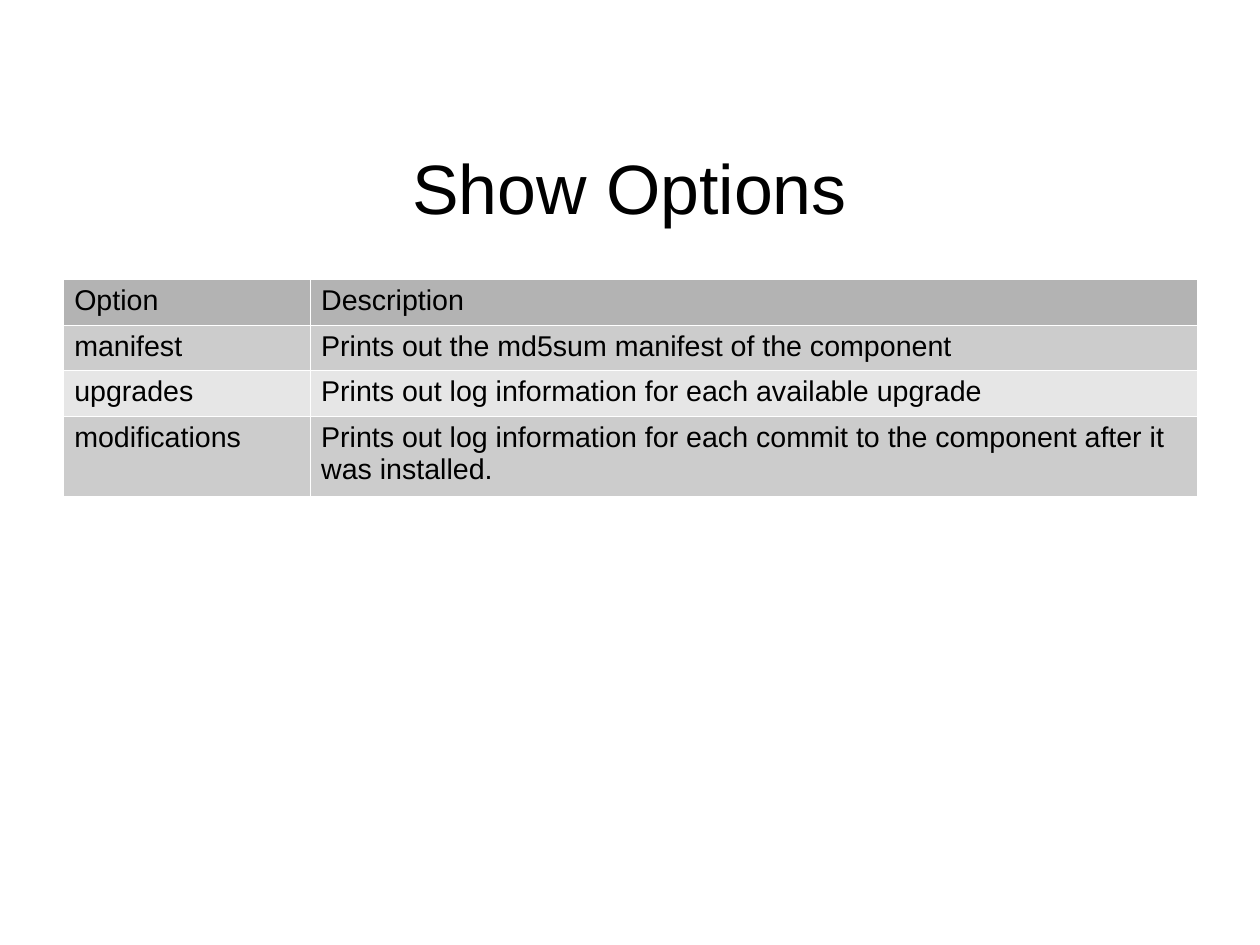
import pptx
import pptx.dml.color
import pptx.enum.text
import pptx.oxml
import pptx.oxml.ns
import pptx.util
from pptx.util import Inches

COLORS = {
    "text": "000000",
    "header": "B3B3B3",
    "odd": "CCCCCC",
    "even": "E6E6E6",
    "border": "FFFFFF",
}
FONT = "Arial"
CM_PER_INCH = 2.54
OPTIONS = [
    ("Option", "Description"),
    ("manifest", "Prints out the md5sum manifest of the component"),
    ("upgrades", "Prints out log information for each available upgrade"),
    ("modifications", "Prints out log information for each commit to the "
                      "component after it was installed."),
]
COLUMN_WIDTHS = [2.16, 7.76]
ROW_HEIGHTS = [0.4, 0.4, 0.4, 0.7]


def color(name):
    """Return the named colour."""
    return pptx.dml.color.RGBColor.from_string(COLORS[name])


def set_slide_size(presentation):
    """Make the slide 28 by 21 cm, with no preset paper type."""
    presentation.slide_width = Inches(28 / CM_PER_INCH)
    presentation.slide_height = Inches(21 / CM_PER_INCH)
    size = presentation.element.find(pptx.oxml.ns.qn("p:sldSz"))
    size.attrib.pop("type", None)


def add_run(paragraph, text, size):
    """Append a formatted run to a paragraph."""
    run = paragraph.add_run()
    run.text = text
    run.font.name = FONT
    run.font.size = pptx.util.Pt(size)
    run.font.bold = False
    run.font.color.rgb = color("text")


def set_title(slide, text):
    """Place and fill the title placeholder."""
    title = slide.shapes.title
    title.left, title.top = Inches(0.55), Inches(1.06)
    title.width, title.height = Inches(9.92), Inches(1.14)
    frame = title.text_frame
    frame.margin_left = frame.margin_right = 0
    frame.margin_top = frame.margin_bottom = 0
    frame.word_wrap = True
    frame.vertical_anchor = pptx.enum.text.MSO_ANCHOR.MIDDLE
    paragraph = frame.paragraphs[0]
    paragraph.alignment = pptx.enum.text.PP_ALIGN.CENTER
    add_run(paragraph, text, 44)


def add_borders(cell):
    """Draw a thin line on all four sides of a cell."""
    properties = cell._tc.get_or_add_tcPr()
    for side in ("lnL", "lnR", "lnT", "lnB"):
        properties.append(pptx.oxml.parse_xml(
            f'<a:{side} {pptx.oxml.ns.nsdecls("a")} w="720"><a:solidFill>'
            f'<a:srgbClr val="{COLORS["border"]}"/></a:solidFill></a:{side}>'))


def format_cell(cell, text, fill):
    """Write a cell's text and set its margins, borders and fill."""
    cell.margin_left = cell.margin_right = Inches(0.1)
    cell.margin_top = cell.margin_bottom = Inches(0.05)
    add_borders(cell)
    cell.fill.solid()
    cell.fill.fore_color.rgb = color(fill)
    add_run(cell.text_frame.paragraphs[0], text, 18)


def add_options_table(slide):
    """Add the table of options with alternating row fills."""
    table = slide.shapes.add_table(
        len(OPTIONS), len(COLUMN_WIDTHS), Inches(0.55), Inches(2.44),
        Inches(sum(COLUMN_WIDTHS)), Inches(sum(ROW_HEIGHTS))).table
    for column, width in zip(table.columns, COLUMN_WIDTHS):
        column.width = Inches(width)
    for index, (row, texts) in enumerate(zip(table.rows, OPTIONS)):
        row.height = Inches(ROW_HEIGHTS[index])
        fill = "header" if index == 0 else "odd" if index % 2 else "even"
        for cell, text in zip(row.cells, texts):
            format_cell(cell, text, fill)


def main():
    """Build and save the presentation."""
    presentation = pptx.Presentation()
    set_slide_size(presentation)
    slide = presentation.slides.add_slide(presentation.slide_layouts[5])
    set_title(slide, "Show Options")
    add_options_table(slide)
    presentation.save("out.pptx")


if __name__ == "__main__":
    main()
